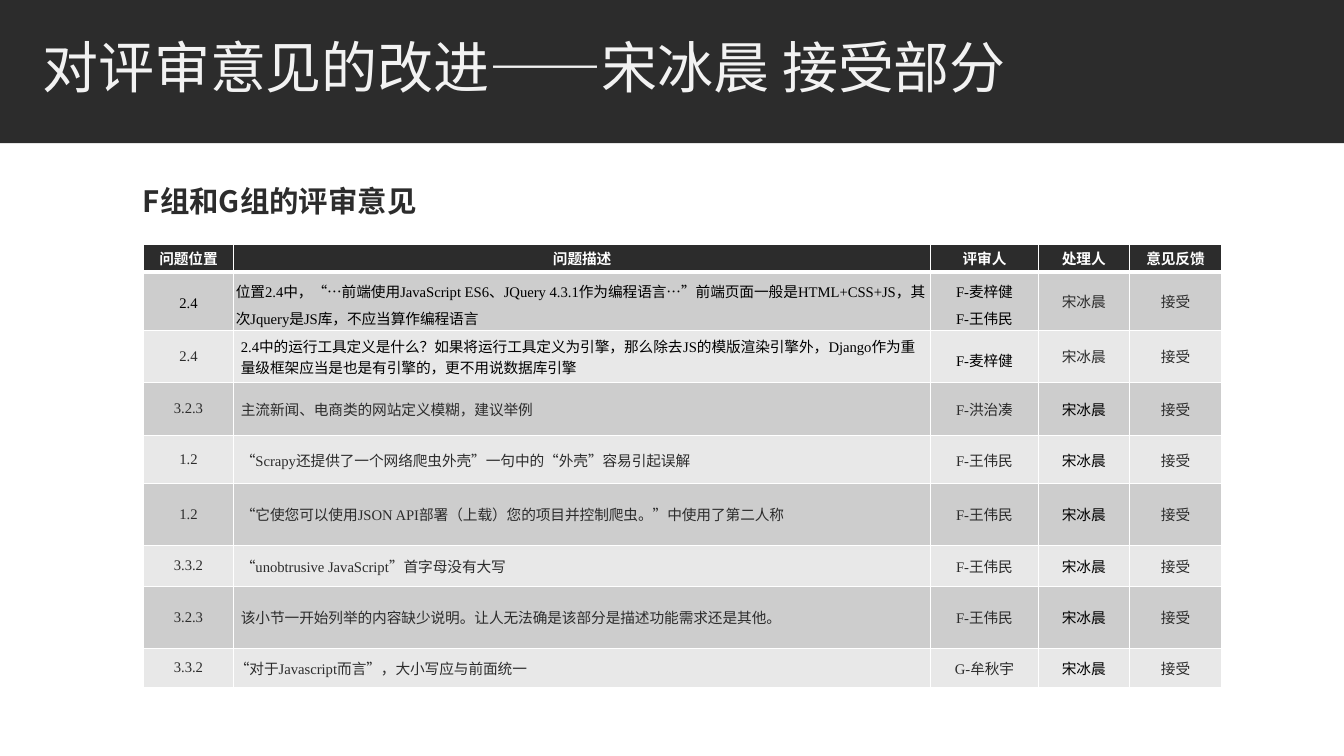
from dataclasses import dataclass

from lxml.etree import SubElement
from pptx import Presentation
from pptx.dml.color import RGBColor
from pptx.enum.lang import MSO_LANGUAGE_ID as Lang
from pptx.enum.shapes import MSO_SHAPE as Shape
from pptx.enum.text import MSO_ANCHOR as Anchor, PP_ALIGN as Align
from pptx.oxml.ns import qn
from pptx.util import Inches, Pt

WIDTH, HEIGHT = Inches(13.33), Inches(7.5)
COLORS = {"dark": "2C2C2C", "light": "F2F2F2", "white": "FFFFFF",
          "black": "000000", "odd": "CDCDCD", "even": "E8E8E8"}
SANS, SERIF = "Noto Sans CJK SC", "Times New Roman"
HEADERS = ("问题位置", "问题描述", "评审人", "处理人", "意见反馈")
COLUMNS = (6.75, 51.84, 8.03, 6.75, 6.9)  # percent of the slide width
HEADER_ROW = 3.7  # percent of the slide height


@dataclass(frozen=True)
class Box:
    """Place in percent of the slide's width and height."""
    left: float
    top: float
    width: float
    height: float

    def emu(self) -> tuple[int, int, int, int]:
        return across(self.left), down(self.top), across(self.width), down(self.height)


@dataclass(frozen=True)
class Review:
    height: float
    section: str
    problem: str
    reviewer: str
    inks: tuple[str, ...] = ("dark", "dark", "dark", "black", "dark")
    spacing: tuple[float, ...] = (1, 1, 1, 1, 1)
    insets: tuple[float, float] = (0.07, 0)  # side and top, for the first three cells

    def texts(self) -> tuple[str, ...]:
        return self.section, self.problem, self.reviewer, "宋冰晨", "接受"


REVIEWS = (
    Review(7.8, "2.4", "位置2.4中，“…前端使用JavaScript ES6、JQuery 4.3.1作为编程语言…”"
           "前端页面一般是HTML+CSS+JS，其次Jquery是JS库，不应当算作编程语言",
           "F-麦梓健\nF-王伟民", ("black", "black", "black", "dark", "dark"),
           (1.3, 1.3, 1.3, 1, 1), (0.02, 0.02)),
    Review(6.8, "2.4", "2.4中的运行工具定义是什么？如果将运行工具定义为引擎，那么除去JS的模版渲染引擎外，"
           "Django作为重量级框架应当是也是有引擎的，更不用说数据库引擎",
           "F-麦梓健", ("dark", "black", "black", "dark", "dark"), (1, 1, 1.3, 1, 1)),
    Review(7.1, "3.2.3", "主流新闻、电商类的网站定义模糊，建议举例", "F-洪治凑"),
    Review(6.3, "1.2", "“Scrapy还提供了一个网络爬虫外壳”一句中的“外壳”容易引起误解", "F-王伟民"),
    Review(8.2, "1.2", "“它使您可以使用JSON API部署（上载）您的项目并控制爬虫。”中使用了第二人称",
           "F-王伟民"),
    Review(5.4, "3.3.2", "“unobtrusive JavaScript”首字母没有大写", "F-王伟民"),
    Review(8.2, "3.2.3", "该小节一开始列举的内容缺少说明。让人无法确是该部分是描述功能需求还是其他。",
           "F-王伟民"),
    Review(5.2, "3.3.2", "“对于Javascript而言”，大小写应与前面统一", "G-牟秋宇",
           insets=(0.01, 0)),
)


def across(percent: float) -> int:
    return round(WIDTH * percent / 100)


def down(percent: float) -> int:
    return round(HEIGHT * percent / 100)


def rgb(name: str) -> RGBColor:
    return RGBColor.from_string(COLORS[name])


def write(tf, text: str, *, size: float, color: str, font: str = SERIF, bold: bool = False,
          align=Align.LEFT, spacing: float = 1, before: float = 0, after: float = 0) -> None:
    """Fill a text frame, one paragraph for each line of text."""
    for i, line in enumerate(text.split("\n")):
        p = tf.add_paragraph() if i else tf.paragraphs[0]
        p.alignment, p.line_spacing = align, spacing
        p.space_before, p.space_after = Pt(before), Pt(after)
        r = p.add_run()
        r.text = line
        r.font.name, r.font.size, r.font.bold = font, Pt(size), bold
        r.font.color.rgb = rgb(color)
        r.font.language_id = Lang.SIMPLIFIED_CHINESE
        SubElement(r.font._element, qn("a:ea")).set("typeface", SANS)


def add_text(s, box: Box, text: str, **fmt) -> None:
    tf = s.shapes.add_textbox(*box.emu()).text_frame
    tf.word_wrap, tf.vertical_anchor = True, Anchor.MIDDLE
    write(tf, text, **fmt)


def add_borders(cell, top: float, bottom: float) -> None:
    """Draw white cell borders; top and bottom are widths in points."""
    tc_pr = cell._tc.get_or_add_tcPr()
    for side, width in (("L", 1), ("R", 1), ("T", top), ("B", bottom)):
        ln = SubElement(tc_pr, qn(f"a:ln{side}"), w=str(Pt(width)))
        SubElement(SubElement(ln, qn("a:solidFill")), qn("a:srgbClr"), val=COLORS["white"])


def style_cell(cell, fill: str, side: float = 0.07, edge: float = 0,
               top: float = 1, bottom: float = 1) -> None:
    cell.margin_left = cell.margin_right = Inches(side)
    cell.margin_top = cell.margin_bottom = Inches(edge)
    cell.vertical_anchor = Anchor.MIDDLE
    add_borders(cell, top, bottom)
    cell.fill.solid()
    cell.fill.fore_color.rgb = rgb(fill)


def add_reviews(s, left: float, top: float) -> None:
    heights = (HEADER_ROW, *(review.height for review in REVIEWS))
    box = Box(left, top, sum(COLUMNS), sum(heights))
    table = s.shapes.add_table(len(heights), len(COLUMNS), *box.emu()).table
    for column, width in zip(table.columns, COLUMNS):
        column.width = across(width)
    for row, height in zip(table.rows, heights):
        row.height = down(height)
    for cell, header in zip(table.rows[0].cells, HEADERS):
        style_cell(cell, "dark", bottom=3)
        write(cell.text_frame, header, size=10.5, color="white", bold=True, align=Align.CENTER)
    for i, review in enumerate(REVIEWS, 1):
        cells = zip(table.rows[i].cells, review.texts(), review.inks, review.spacing)
        for j, (cell, text, ink, spacing) in enumerate(cells):
            insets = review.insets if j < 3 else (0.07, 0)
            style_cell(cell, "odd" if i % 2 else "even", *insets, top=3 if i == 1 else 1)
            write(cell.text_frame, text, size=10.5, color=ink, spacing=spacing,
                  align=Align.LEFT if j == 1 else Align.CENTER)


def main() -> None:
    prs = Presentation()
    prs.slide_width, prs.slide_height = WIDTH, HEIGHT
    s = prs.slides.add_slide(prs.slide_layouts[6])
    band = s.shapes.add_shape(Shape.RECTANGLE, *Box(0, 0, 100, 18.93).emu())
    band.shadow.inherit = False
    band.fill.solid()
    band.fill.fore_color.rgb = rgb("dark")
    band.line.fill.background()
    add_text(s, Box(2.4, 3.47, 80.27, 12), "对评审意见的改进——宋冰晨 接受部分",
             size=40, color="light", font=SANS, spacing=0.85)
    add_text(s, Box(9.9, 21.47, 39, 10.8), "F组和G组的评审意见", size=21, color="dark",
             font=SANS, bold=True, spacing=0.9, before=12, after=2)
    add_reviews(s, left=10.65, top=32.27)
    prs.save("out.pptx")


if __name__ == "__main__":
    main()
